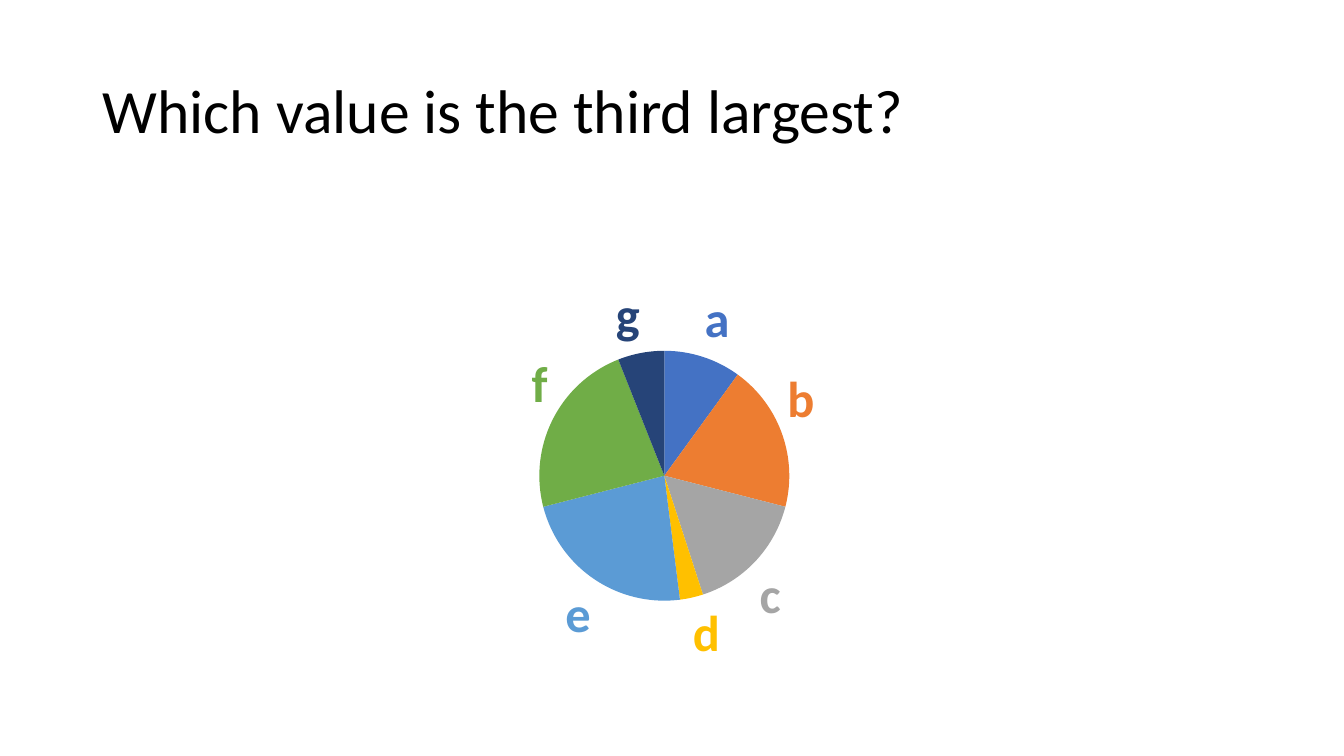
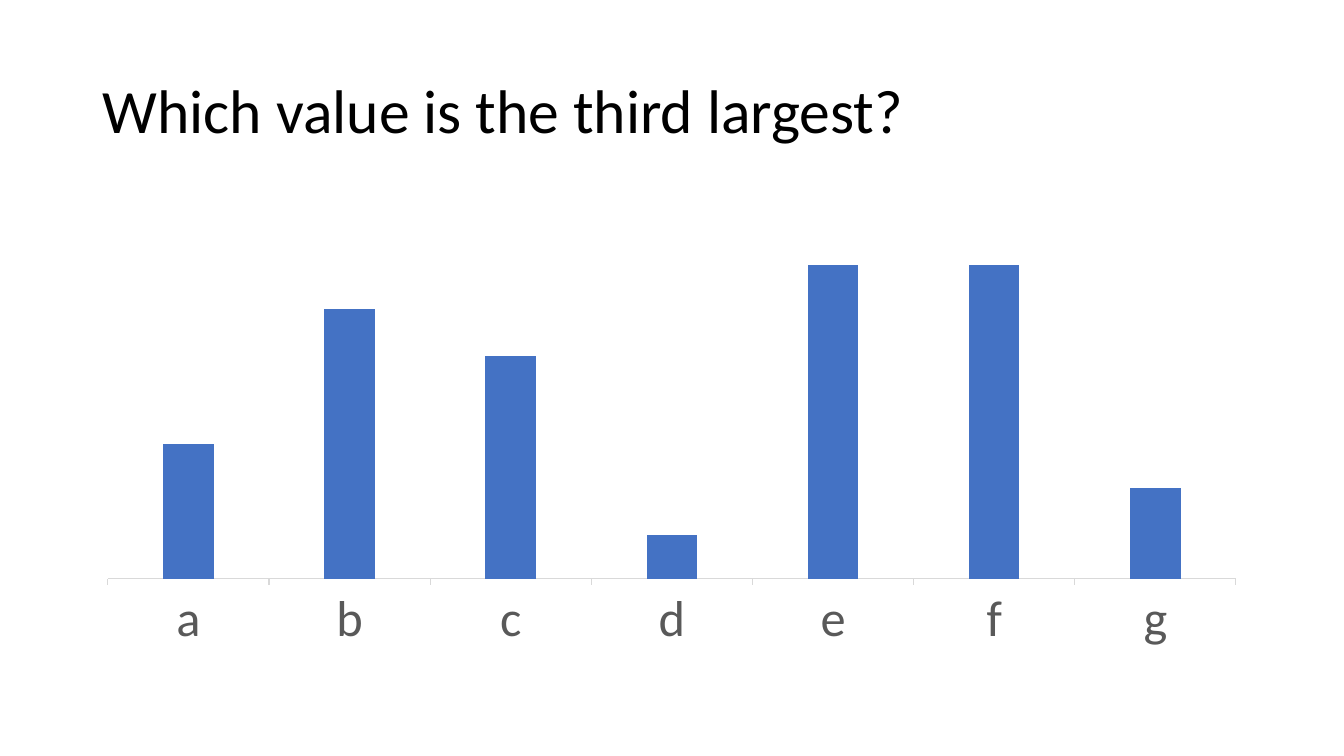
from dataclasses import dataclass
from typing import Any

import pptx
import pptx.chart.data
import pptx.dml.color
import pptx.enum.chart
import pptx.enum.text
import pptx.oxml
import pptx.oxml.ns
import pptx.util
from pptx.util import Inches


@dataclass(frozen=True)
class Theme:
    font: str = "Calibri"
    ink: str = "000000"
    axis_text: str = "595959"
    axis_line: str = "D9D9D9"
    accents: tuple[str, ...] = (
        "4472C4", "ED7D31", "A5A5A5", "FFC000", "5B9BD5", "70AD47", "264478",
    )
    title_size: int = 44
    label_size: int = 36
    line_width: float = 0.75


@dataclass(frozen=True)
class Box:
    left: float
    top: float
    width: float
    height: float

    def lengths(self) -> list[int]:
        return [Inches(n) for n in (self.left, self.top, self.width, self.height)]


@dataclass(frozen=True)
class Question:
    values: tuple[int, ...]
    kind: Any
    plot_area: Box


THEME = Theme()
TITLE = "Which value is the third largest?"
TITLE_BOX = Box(0.92, 0.4, 11.5, 1.45)
CHART_BOX = Box(0.92, 2, 11.5, 4.76)
CATEGORIES = "abcdefg"
CHART_TYPE = pptx.enum.chart.XL_CHART_TYPE
PIE = Question((10, 19, 16, 3, 23, 23, 6), CHART_TYPE.PIE,
               Box(5.35, 3.48, 2.48, 2.48))
COLUMNS = Question((43, 86, 71, 14, 100, 100, 29), CHART_TYPE.COLUMN_CLUSTERED,
                   Box(1.07, 2.18, 11.19, 3.56))
COLUMN_AXIS_MAXIMUM = 114.3


def rgb(color: str) -> pptx.dml.color.RGBColor:
    return pptx.dml.color.RGBColor.from_string(color)


def style_font(font: Any, *, size: float, color: str, bold: bool = False) -> None:
    font.name = THEME.font
    font.size = pptx.util.Pt(size)
    font.bold = bold
    font.color.rgb = rgb(color)


def add_text(slide: Any, text: str, box: Box, *, size: float, color: str,
             line_spacing: float = 1.0, bold: bool = False) -> None:
    frame = slide.shapes.add_textbox(*box.lengths()).text_frame
    frame.word_wrap = True
    frame.vertical_anchor = pptx.enum.text.MSO_ANCHOR.MIDDLE
    paragraph = frame.paragraphs[0]
    paragraph.text = text
    paragraph.line_spacing = line_spacing
    style_font(paragraph.runs[0].font, size=size, color=color, bold=bold)


def fill_solid(fill: Any, color: str) -> None:
    fill.solid()
    fill.fore_color.rgb = rgb(color)


def place_plot(chart: Any, area: Box) -> None:
    qn = pptx.oxml.ns.qn
    plot_area = next(chart.element.iter(qn("c:plotArea")))
    for layout in plot_area.findall(qn("c:layout")):
        plot_area.remove(layout)
    fractions = {
        "x": (area.left - CHART_BOX.left) / CHART_BOX.width,
        "y": (area.top - CHART_BOX.top) / CHART_BOX.height,
        "w": area.width / CHART_BOX.width,
        "h": area.height / CHART_BOX.height,
    }
    settings = '<c:layoutTarget val="inner"/><c:xMode val="edge"/><c:yMode val="edge"/>'
    settings += "".join(f'<c:{key} val="{n:.3f}"/>' for key, n in fractions.items())
    plot_area.insert(0, pptx.oxml.parse_xml(
        f'<c:layout {pptx.oxml.ns.nsdecls("c")}>'
        f"<c:manualLayout>{settings}</c:manualLayout></c:layout>"
    ))


def add_question(deck: Any, question: Question) -> Any:
    slide = deck.slides.add_slide(deck.slide_layouts[6])
    add_text(slide, TITLE, TITLE_BOX, size=THEME.title_size, color=THEME.ink,
             line_spacing=0.9)
    data = pptx.chart.data.CategoryChartData()
    data.categories = list(CATEGORIES)
    data.add_series("", question.values)
    chart = slide.shapes.add_chart(question.kind, *CHART_BOX.lengths(), data).chart
    chart.has_title = False
    chart.has_legend = False
    style_font(chart.font, size=THEME.label_size, color=THEME.ink)
    place_plot(chart, question.plot_area)
    return chart


def style_pie(chart: Any) -> None:
    qn = pptx.oxml.ns.qn
    outside = pptx.enum.chart.XL_LABEL_POSITION.OUTSIDE_END
    chart.plots[0].vary_by_categories = True
    series = chart.plots[0].series[0]
    labels = series.data_labels
    labels.show_value = False
    labels.show_category_name = True
    labels.position = outside
    style_font(labels.font, size=THEME.label_size, color=THEME.accents[0], bold=True)
    for index, color in enumerate(THEME.accents):
        slice_ = series.points[index]
        fill_solid(slice_.format.fill, color)
        slice_.format.line.fill.background()
        style_font(slice_.data_label.font, size=THEME.label_size, color=color, bold=True)
        slice_.data_label.position = outside
    for label in chart.element.iter(qn("c:dLbl")):
        label.find(qn("c:showVal")).set("val", "0")
        label.find(qn("c:showCatName")).set("val", "1")


def style_columns(chart: Any) -> None:
    plot = chart.plots[0]
    plot.vary_by_categories = False
    plot.gap_width = 219
    plot.overlap = -27
    fill_solid(plot.series[0].format.fill, THEME.accents[0])

    scale = chart.value_axis
    scale.minimum_scale = 0
    scale.maximum_scale = COLUMN_AXIS_MAXIMUM
    scale.has_major_gridlines = False
    scale.visible = False

    names = chart.category_axis
    names.has_major_gridlines = False
    names.major_tick_mark = pptx.enum.chart.XL_TICK_MARK.OUTSIDE
    names.format.line.color.rgb = rgb(THEME.axis_line)
    names.format.line.width = pptx.util.Pt(THEME.line_width)
    style_font(names.tick_labels.font, size=THEME.label_size, color=THEME.axis_text)


def main() -> None:
    deck = pptx.Presentation()
    deck.slide_width = Inches(13.33)
    deck.slide_height = Inches(7.5)
    style_pie(add_question(deck, PIE))
    style_columns(add_question(deck, COLUMNS))
    deck.save("out.pptx")


if __name__ == "__main__":
    main()
